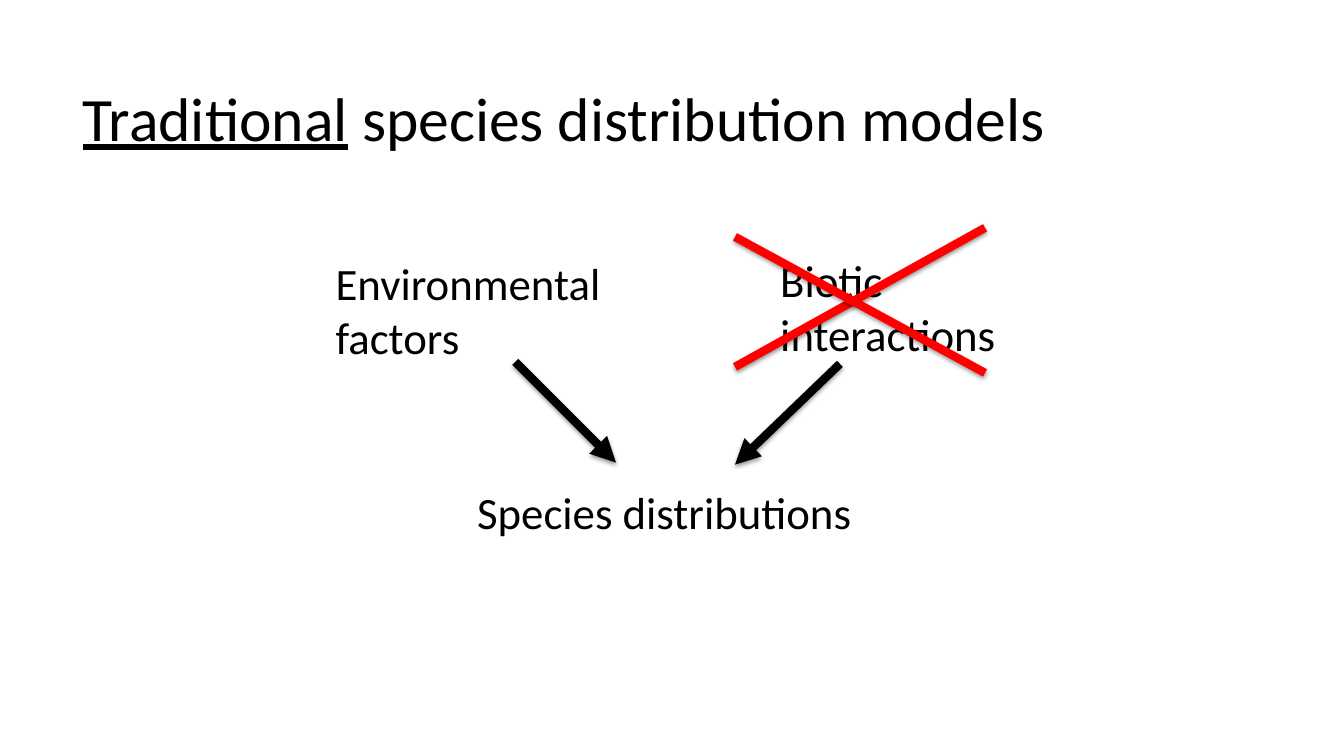
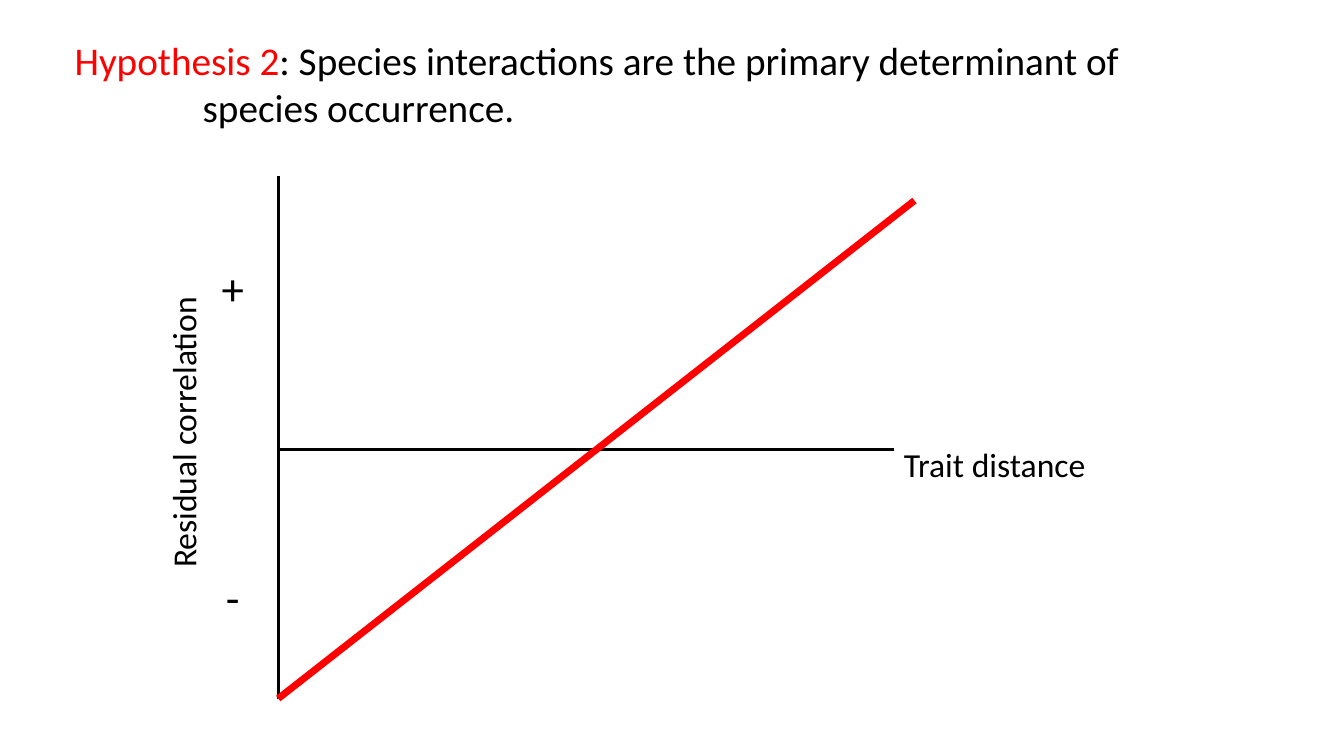
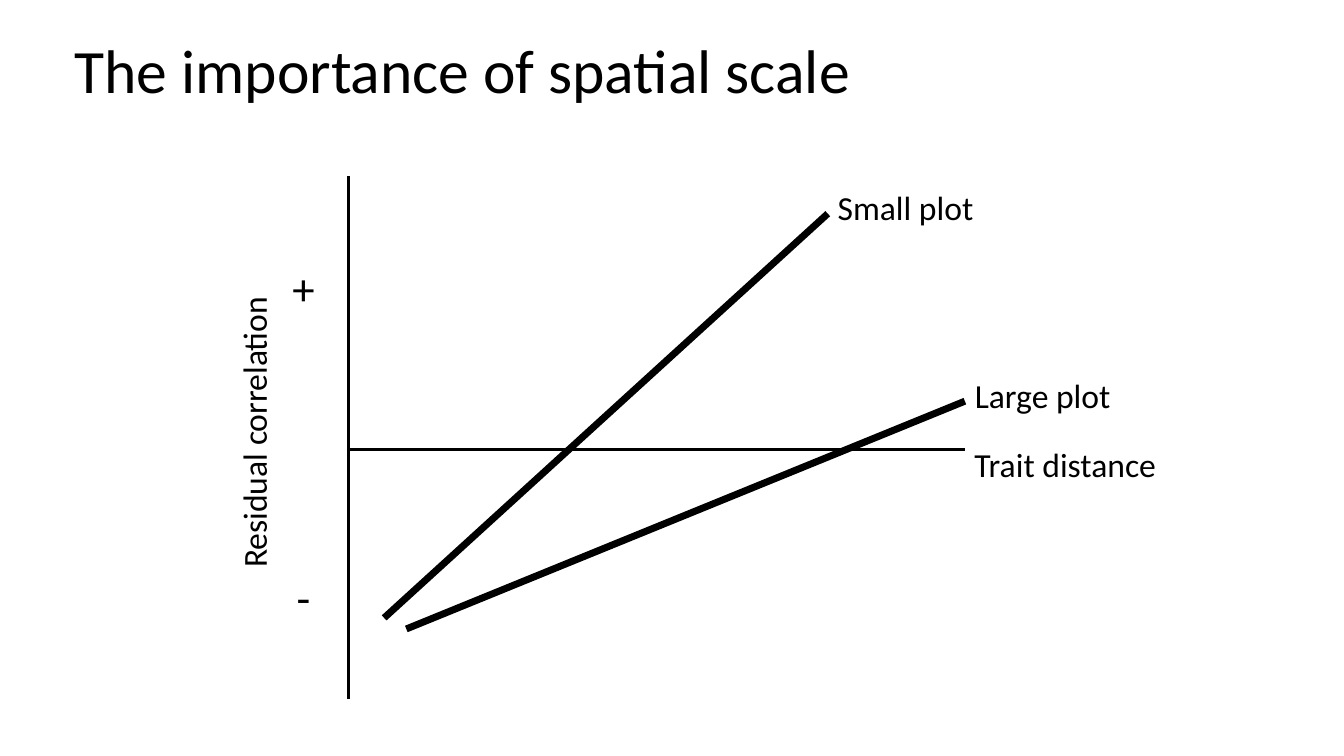
"""Build three slides on species distribution models and trait distance."""
from lxml import etree
from pptx import Presentation
from pptx.dml.color import RGBColor
from pptx.enum.shapes import MSO_CONNECTOR
from pptx.enum.text import MSO_ANCHOR, MSO_AUTO_SIZE, PP_ALIGN
from pptx.oxml import parse_xml
from pptx.oxml.ns import qn
from pptx.util import Inches, Pt

STRAIGHT = MSO_CONNECTOR.STRAIGHT
LEFT, CENTER = PP_ALIGN.LEFT, PP_ALIGN.CENTER
TOP, MIDDLE = MSO_ANCHOR.TOP, MSO_ANCHOR.MIDDLE
NO_AUTOFIT = MSO_AUTO_SIZE.NONE

BLACK = RGBColor(0x00, 0x00, 0x00)
RED = RGBColor(0xFF, 0x00, 0x00)
FONT = "Calibri"
TITLE_ONLY = 5

SHADOW = (
    '<a:effectLst xmlns:a="http://schemas.openxmlformats.org/drawingml/2006/main">'
    '<a:outerShdw blurRad="40000" dist="20000" dir="5400000" rotWithShape="0">'
    '<a:srgbClr val="000000"><a:alpha val="38000"/></a:srgbClr>'
    '</a:outerShdw></a:effectLst>'
)

FACTORS = [
    ("Environmental factors", 3.23, 2.49),
    ("Biotic interactions", 7.64, 2.46),
]
ARROWS = [((5.11, 3.59), (6.11, 4.59)), ((8.33, 3.61), (7.29, 4.61))]
CROSS = [((9.77, 2.26), (7.29, 3.64)), ((9.77, 3.7), (7.29, 2.35))]

AXIS_TOP, AXIS_ZERO, AXIS_BOTTOM, AXIS_LENGTH = 1.75, 4.46, 6.93, 6.11
SIGNS = [("+", 2.54), ("-", 5.6)]
PLOTS = [
    ("Small plot", (8.21, 2.12), (3.81, 6.13)),
    ("Large plot", (9.57, 3.98), (4.03, 6.24)),
]


def format_run(run, size, color=BLACK, underline=None):
    run.font.name = FONT
    run.font.size = Pt(size)
    run.font.color.rgb = color
    run.font.underline = underline


def add_titled_slide(presentation, parts, box, size, hanging=0):
    """Add a slide whose title is made of (text, colour, underline) parts."""
    slide = presentation.slides.add_slide(presentation.slide_layouts[TITLE_ONLY])
    title = slide.shapes.title
    title.left, title.top, title.width, title.height = map(Inches, box)
    frame = title.text_frame
    frame.word_wrap = True
    frame.auto_size = NO_AUTOFIT
    frame.vertical_anchor = TOP
    paragraph = frame.paragraphs[0]
    paragraph.alignment = LEFT
    if hanging:
        properties = paragraph._p.get_or_add_pPr()
        properties.set("marL", str(Inches(hanging)))
        properties.set("indent", str(-Inches(hanging)))
    for text, color, underline in parts:
        run = paragraph.add_run()
        run.text = text
        format_run(run, size, color, underline)
    return slide


def add_label(slide, text, box, size, alignment=LEFT, anchor=TOP, rotation=0):
    shape = slide.shapes.add_textbox(*map(Inches, box))
    shape.rotation = rotation
    frame = shape.text_frame
    frame.word_wrap = True
    frame.vertical_anchor = anchor
    frame.text = text
    paragraph = frame.paragraphs[0]
    paragraph.alignment = alignment
    format_run(paragraph.runs[0], size)


def add_line(slide, start, end, width, color=BLACK, shadow=False, arrow=False):
    connector = slide.shapes.add_connector(STRAIGHT, *map(Inches, start + end))
    connector.line.color.rgb = color
    connector.line.width = Pt(width)
    properties = connector._element.spPr
    if arrow:
        outline = properties.find(qn("a:ln"))
        etree.SubElement(outline, qn("a:tailEnd"), type="triangle")
    if shadow:
        properties.append(parse_xml(SHADOW))
    else:
        etree.SubElement(properties, qn("a:effectLst"))


def add_axes(slide, axis_x):
    add_line(slide, (axis_x + AXIS_LENGTH, AXIS_ZERO), (axis_x, AXIS_ZERO), 2)
    add_line(slide, (axis_x, AXIS_TOP), (axis_x, AXIS_BOTTOM), 2)
    for sign, top in SIGNS:
        add_label(slide, sign, (axis_x - 0.9, top, 0.9, 0.64), 32, CENTER)
    add_label(slide, "Residual correlation", (axis_x - 3.59, 4.04, 5.29, 0.5),
              24, CENTER, rotation=270)
    add_label(slide, "Trait distance", (axis_x + 4.46, 4.35, 5.29, 0.5), 24, CENTER)


def build_models_slide(presentation):
    parts = [("Traditional", BLACK, True),
             (" species distribution models", BLACK, False)]
    slide = add_titled_slide(presentation, parts, (0.72, 0.74, 9.86, 0.84), 44)
    add_label(slide, "Species distributions", (4.44, 4.45, 4.3, 1.25),
              32, CENTER, MIDDLE)
    for start, end in ARROWS:
        add_line(slide, start, end, 6, shadow=True, arrow=True)
    for text, left, top in FACTORS:
        add_label(slide, text, (left, top, 2.88, 1.18), 32)
    for start, end in CROSS:
        add_line(slide, start, end, 6, RED, shadow=True)


def build_hypothesis_slide(presentation):
    parts = [
        ("Hypothesis 2", RED, None),
        (": Species interactions are the primary determinant of species occurrence.",
         BLACK, None),
    ]
    slide = add_titled_slide(presentation, parts, (0.64, 0.31, 10.9, 1.04), 28, 1.27)
    axis_x = 2.76
    add_axes(slide, axis_x)
    add_line(slide, (9.07, 1.99), (axis_x, AXIS_BOTTOM), 5, RED)


def build_scale_slide(presentation):
    parts = [("The importance of spatial scale", BLACK, None)]
    slide = add_titled_slide(presentation, parts, (0.64, 0.27, 11.94, 0.84), 44)
    add_axes(slide, 3.46)
    for text, start, end in PLOTS:
        add_line(slide, start, end, 5)
        left, line_top = start
        add_label(slide, text, (left, line_top - 0.31, 1.6, 0.5), 24)


def main():
    presentation = Presentation()
    presentation.slide_width = Inches(13.33)
    presentation.slide_height = Inches(7.5)
    build_models_slide(presentation)
    build_hypothesis_slide(presentation)
    build_scale_slide(presentation)
    presentation.save("out.pptx")


if __name__ == "__main__":
    main()
